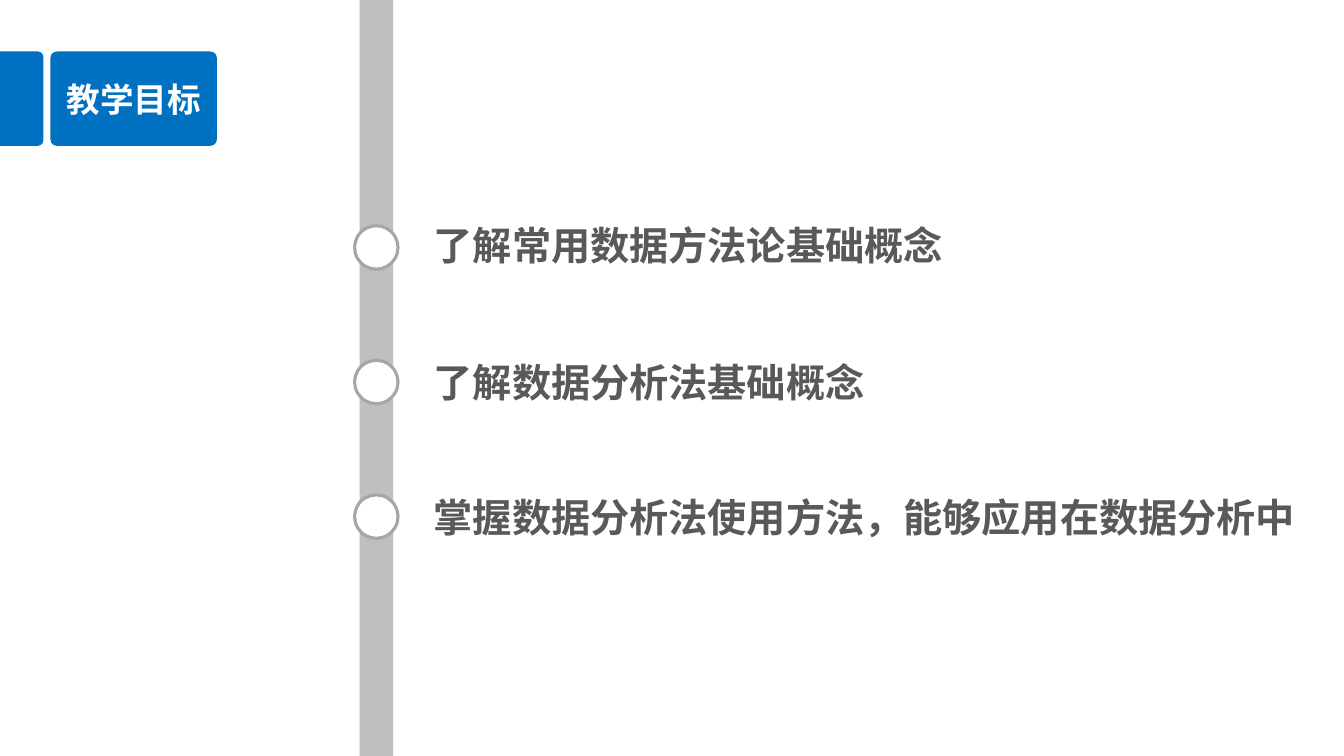
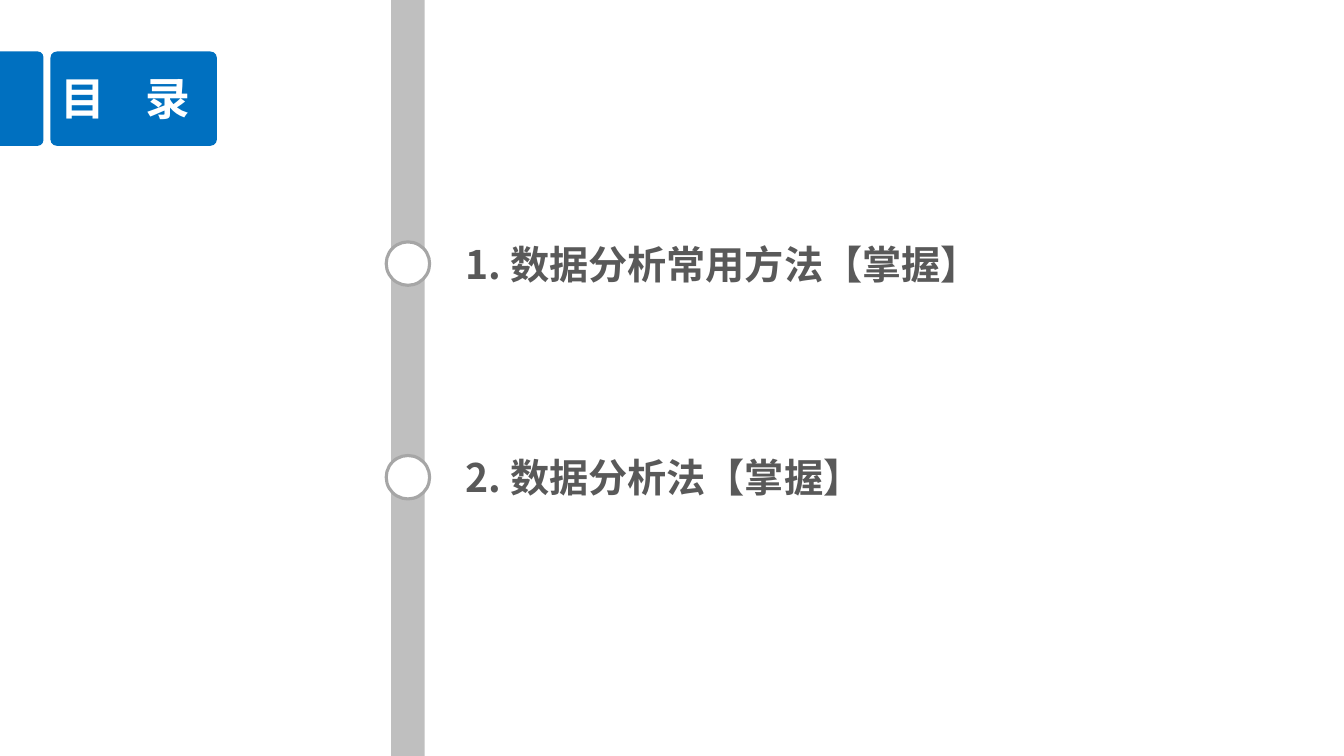
from dataclasses import dataclass

from lxml import etree
from pptx import Presentation
from pptx.dml.color import RGBColor
from pptx.enum import shapes, text
from pptx.oxml import ns
from pptx.util import Pt

BLUE, WHITE = "0070C0", "FFFFFF"
BAR_GRAY, RING_GRAY, TEXT_GRAY = "BFBFBF", "A6A6A6", "595959"
TITLE_FONT, CJK_FONT = "Calibri", "Noto Sans CJK SC"
SLIDE_WIDTH, SLIDE_HEIGHT = 960, 540
TILE_LEFT, TILE_TOP, TILE_WIDTH, TILE_HEIGHT = 36, 36.8, 119, 67.4
TAB_WIDTH = 31
BAR_WIDTH, RING_SIZE = 24, 31
TEXT_OFFSET, TEXT_HEIGHT = 34, 41
TITLE_GAP = 21.6


@dataclass
class Item:
    text: str
    width: float
    rise: float = 5  # distance from the text box top down to the ring top


@dataclass
class Timeline:
    title: str
    title_left: float
    title_top: float
    title_size: float
    center: float
    first_ring_top: float
    step: float
    items: list[Item]


TIMELINES = [
    Timeline("教学目标", 36, 52.6, 24, 268.8, 161.3, 96.1, [
        Item("了解常用数据方法论基础概念", 523.4, 6.5),
        Item("了解数据分析法基础概念", 425.5),
        Item("掌握数据分析法使用方法，能够应用在数据分析中", 632.9),
    ]),
    Timeline("目 录", 30.2, 46.8, 32, 291.4, 172.8, 152.6, [
        Item("1. 数据分析常用方法【掌握】", 386.6),
        Item("2. 数据分析法【掌握】", 338.4),
    ]),
]


def color(value: str) -> RGBColor:
    return RGBColor.from_string(value)


def place(shape, left: float, top: float, width: float, height: float) -> None:
    shape.left, shape.top = Pt(left), Pt(top)
    shape.width, shape.height = Pt(width), Pt(height)


def add_block(page, kind, left: float, top: float, width: float, height: float,
              fill: str, line: str | None = None):
    block = page.shapes.add_shape(kind, Pt(left), Pt(top), Pt(width), Pt(height))
    block.shadow.inherit = False
    block.fill.solid()
    block.fill.fore_color.rgb = color(fill)
    if line:
        block.line.color.rgb = color(line)
        block.line.width = Pt(2.25)
    else:
        block.line.fill.background()
    return block


def format_span(span, font: str, size: float, fill: str) -> None:
    span.font.name = font
    span.font.size = Pt(size)
    span.font.bold = True
    span.font.color.rgb = color(fill)
    east_asian = etree.SubElement(span.font._element, ns.qn("a:ea"))
    east_asian.set("typeface", CJK_FONT)


def prepare_frame(frame) -> None:
    frame.word_wrap = True
    frame.auto_size = text.MSO_AUTO_SIZE.NONE
    frame.vertical_anchor = text.MSO_ANCHOR.TOP


def add_title(page, timeline: Timeline) -> None:
    """Draw the blue tab and tile, then bring the title in front of them."""
    kinds = shapes.MSO_SHAPE
    tab = add_block(page, kinds.ROUND_2_SAME_RECTANGLE,
                    (TAB_WIDTH - TILE_HEIGHT) / 2, TILE_TOP + (TILE_HEIGHT - TAB_WIDTH) / 2,
                    TILE_HEIGHT, TAB_WIDTH, BLUE)
    tab.rotation = 90
    tab.adjustments[0] = 0.13
    tile = add_block(page, kinds.ROUNDED_RECTANGLE, TILE_LEFT, TILE_TOP,
                     TILE_WIDTH, TILE_HEIGHT, BLUE)
    tile.adjustments[0] = 0.07

    title = page.shapes.title
    place(title, timeline.title_left, timeline.title_top, TILE_WIDTH, timeline.title_size * 1.45)
    prepare_frame(title.text_frame)
    para = title.text_frame.paragraphs[0]
    para.alignment = text.PP_ALIGN.CENTER
    for piece in filter(None, timeline.title.partition(" ")):
        span = para.add_run()
        span.text = piece
        format_span(span, TITLE_FONT, timeline.title_size, WHITE)
        if piece == " ":
            span.font._element.set("spc", str(round(TITLE_GAP * 100)))
    tile.element.addnext(title.element)


def add_item(page, item: Item, center: float, ring_top: float) -> None:
    add_block(page, shapes.MSO_SHAPE.OVAL, center - RING_SIZE / 2, ring_top,
              RING_SIZE, RING_SIZE, WHITE, RING_GRAY)
    box = page.shapes.add_textbox(Pt(center + TEXT_OFFSET), Pt(ring_top - item.rise),
                                  Pt(item.width), Pt(TEXT_HEIGHT))
    prepare_frame(box.text_frame)
    box.text_frame.text = item.text
    format_span(box.text_frame.paragraphs[0].runs[0], CJK_FONT, 28, TEXT_GRAY)


def add_timeline(deck, timeline: Timeline) -> None:
    page = deck.slides.add_slide(deck.slide_layouts.get_by_name("Title Only"))
    add_title(page, timeline)
    add_block(page, shapes.MSO_SHAPE.RECTANGLE, timeline.center - BAR_WIDTH / 2, 0,
              BAR_WIDTH, SLIDE_HEIGHT, BAR_GRAY)
    for index, item in enumerate(timeline.items):
        add_item(page, item, timeline.center, timeline.first_ring_top + index * timeline.step)


def main() -> None:
    deck = Presentation()
    deck.slide_width, deck.slide_height = Pt(SLIDE_WIDTH), Pt(SLIDE_HEIGHT)
    for timeline in TIMELINES:
        add_timeline(deck, timeline)
    deck.save("out.pptx")


if __name__ == "__main__":
    main()
